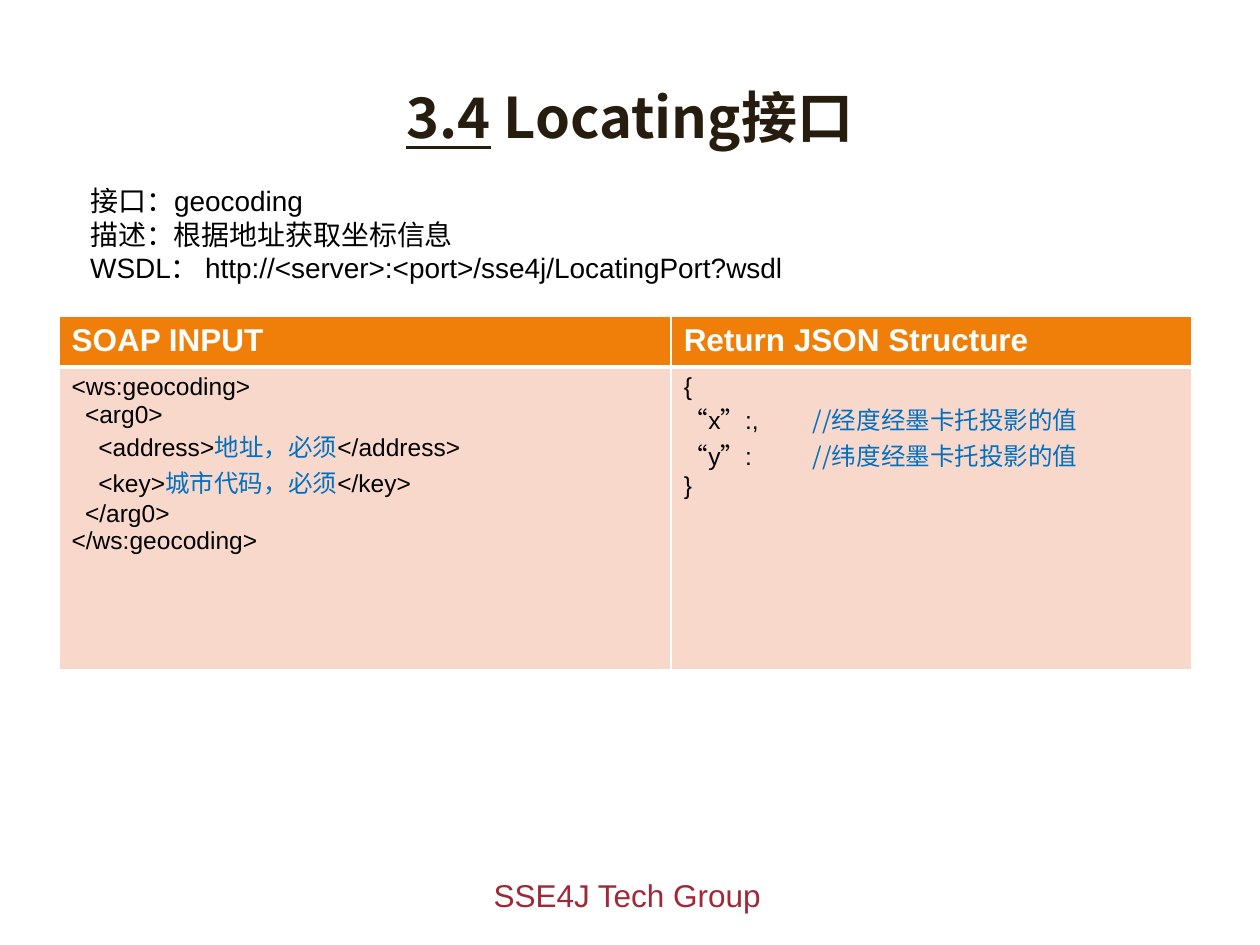
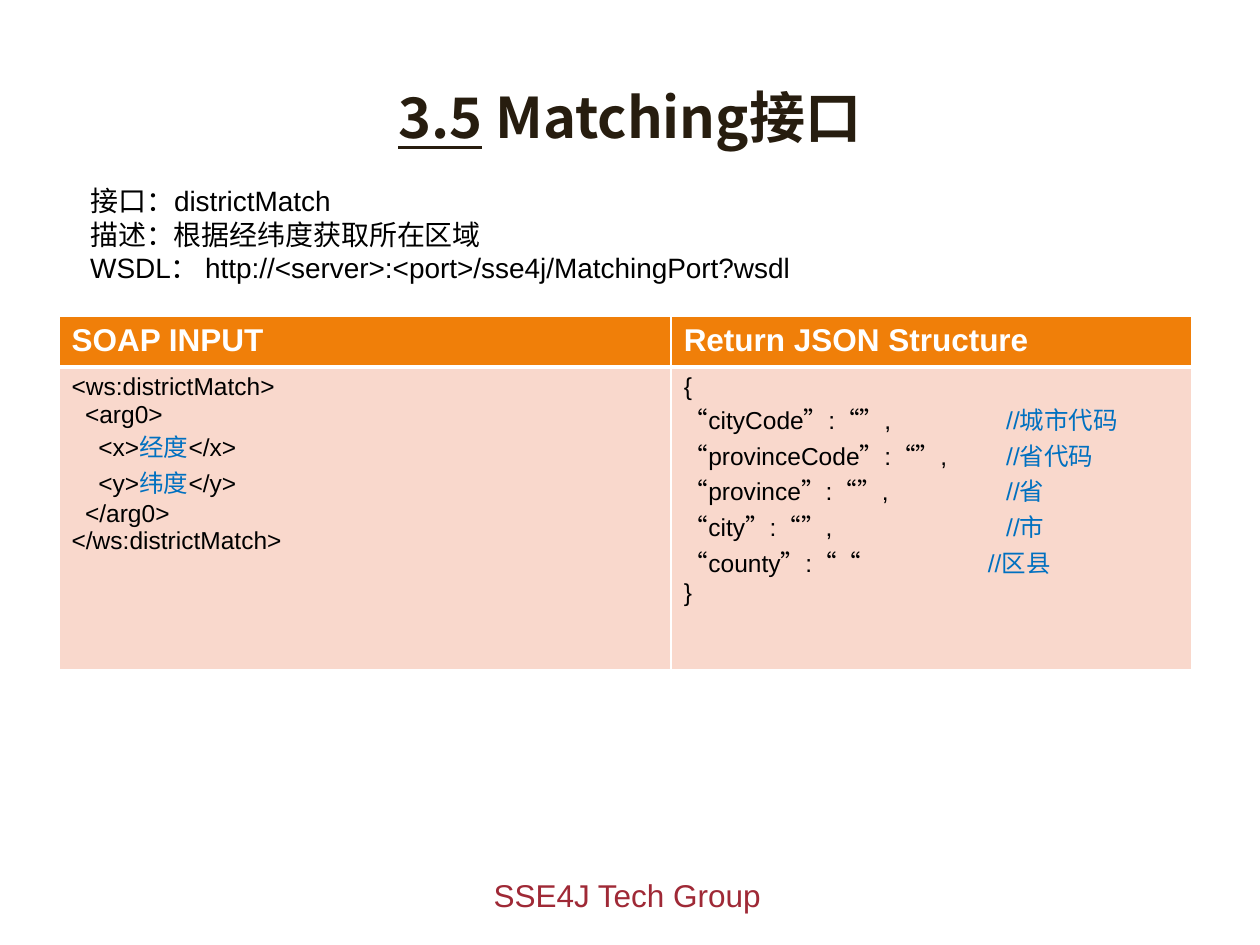
"""Build two slides that describe web service interfaces."""
from lxml.etree import SubElement, Element
from pptx import Presentation
from pptx.dml.color import RGBColor as Rgb
from pptx.enum.text import MSO_ANCHOR as Anchor, MSO_AUTO_SIZE as Fit, PP_ALIGN as Align
from pptx.oxml.ns import qn
from pptx.util import Cm, Pt

HUES = {"title": "271D0F", "foot": "9F2936", "head": "F07F09", "body": "F9D8CC",
        "note": "0070C0", "text": "000000", "white": "FFFFFF"}
SANS, HAN = "Arial", "Noto Sans CJK SC"
STEP = 0.27

PAGES = [
    {"code": "3.4", "name": "Locating", "call": "geocoding",
     "about": "根据地址获取坐标信息", "face": HAN,
     "args": [("address", "地址，必须"), ("key", "城市代码，必须")],
     "json": [("“x”:,", "//经度经墨卡托投影的值", 2.6),
              ("“y”:", "//纬度经墨卡托投影的值", 2.6)]},
    {"code": "3.5", "name": "Matching", "call": "districtMatch",
     "about": "根据经纬度获取所在区域", "face": SANS,
     "args": [("x", "经度"), ("y", "纬度")],
     "json": [("“cityCode”:“”,", "//城市代码", 6.5),
              ("“provinceCode”:“”,", "//省代码", 6.5),
              ("“province”:“”,", "//省", 6.5),
              ("“city”:“”,", "//市", 6.5),
              ("“county”:““", "//区县", 6.13)]},
]


class Deck:
    """Hold the style and the current slide."""

    def __init__(self):
        self.file = Presentation()
        self.file.slide_width, self.file.slide_height = Cm(25.4), Cm(19.05)
        self.slide = None

    def page(self):
        self.slide = self.file.slides.add_slide(self.file.slide_layouts[6])

    def style(self, para, size, hue=None, face=SANS, bold=False, han=False):
        font = para.font
        font.size, font.name, font.bold = Pt(size), face, bold
        if hue:
            font.color.rgb = Rgb.from_string(HUES[hue])
        if han:
            SubElement(font._element, qn("a:ea"), typeface=HAN)

    def run(self, para, text, hue, face=None):
        run = para.add_run()
        run.text = text
        run.font.color.rgb = Rgb.from_string(HUES[hue])
        if face:
            run.font.name = face

    def box(self, spot, wrap=True):
        frame = self.slide.shapes.add_textbox(*map(Cm, spot)).text_frame
        frame.word_wrap = wrap
        return frame

    def title(self, code, text):
        frame = self.box((1.27, 0.76, 22.86, 3.18))
        frame.vertical_anchor = Anchor.MIDDLE
        para = frame.paragraphs[0]
        para.alignment = Align.CENTER
        self.style(para, 32, "title", HAN, True, True)
        mark = para.add_run()
        mark.text, mark.font.underline = code, True
        para.add_run().text = text

    def info(self, lines):
        frame = self.box((1.57, 3.58, 21.64, 2.31))
        frame.auto_size = Fit.SHAPE_TO_FIT_TEXT
        frame.text = "\n".join(lines)
        for para in frame.paragraphs:
            self.style(para, 16, "text")

    def foot(self, text):
        frame = self.box((9.7, 17.53, 5.97, 1.02), False)
        frame.auto_size = Fit.SHAPE_TO_FIT_TEXT
        frame.text = text
        self.style(frame.paragraphs[0], 18, "foot")

    def cell(self, cell, hue, top, low):
        props = cell._tc.get_or_add_tcPr()
        for side, width in (("L", 1), ("R", 1), ("T", top), ("B", low)):
            line = SubElement(props, qn("a:ln" + side), w=str(Pt(width)))
            fill = SubElement(line, qn("a:solidFill"))
            SubElement(fill, qn("a:srgbClr"), val=HUES["white"])
        cell.fill.solid()
        cell.fill.fore_color.rgb = Rgb.from_string(HUES[hue])

    def code(self, frame, lines, face):
        for i, (depth, text, note, tail, tab) in enumerate(lines):
            para = frame.add_paragraph() if i else frame.paragraphs[0]
            self.run(para, text + ("\t" if tab else ""), "text")
            if note:
                self.run(para, note, "note", face)
            if tail:
                self.run(para, tail, "text")
            self.style(para, 14, han=True)
            props = para._p.get_or_add_pPr()
            if depth:
                props.set("marL", str(Cm(depth * STEP)))
                props.set("indent", "0")
            if tab:
                stops = Element(qn("a:tabLst"))
                SubElement(stops, qn("a:tab"), pos=str(Cm(tab)), algn="l")
                props.insert(0, stops)

    def table(self, heads, codes, face):
        spot = map(Cm, (1.19, 6.38, 22.83, 7.1))
        grid = self.slide.shapes.add_table(2, 2, *spot).table
        for row, high in zip(grid.rows, (1, 6.1)):
            row.height = Cm(high)
        for col, wide in zip(grid.columns, (12.34, 10.49)):
            col.width = Cm(wide)
        for i, (head, lines) in enumerate(zip(heads, codes)):
            top, low = grid.cell(0, i), grid.cell(1, i)
            self.cell(top, "head", 1, 3)
            self.cell(low, "body", 3, 1)
            top.text = head
            self.style(top.text_frame.paragraphs[0], 18, "white", bold=True)
            self.code(low.text_frame, lines, face if i else None)


def plain(depth, text):
    """Give a code line without a note."""
    return depth, text, "", "", 0


def main():
    """Build and save the deck."""
    deck = Deck()
    for page in PAGES:
        deck.page()
        call, name = page["call"], page["name"]
        deck.foot("SSE4J Tech Group")
        deck.title(page["code"], f" {name}接口")
        soap = [plain(0, f"<ws:{call}>"), plain(1, "<arg0>"),
                *((2, f"<{arg}>", note, f"</{arg}>", 0) for arg, note in page["args"]),
                plain(1, "</arg0>"), plain(0, f"</ws:{call}>")]
        json = [plain(0, "{"),
                *((0, text, note, "", tab) for text, note, tab in page["json"]),
                plain(0, "}")]
        deck.table(("SOAP INPUT", "Return JSON Structure"), (soap, json), page["face"])
        deck.info((f"接口：{call}", f"描述：{page['about']}",
                   f"WSDL： http://<server>:<port>/sse4j/{name}Port?wsdl"))
    deck.file.save("out.pptx")


if __name__ == "__main__":
    main()
